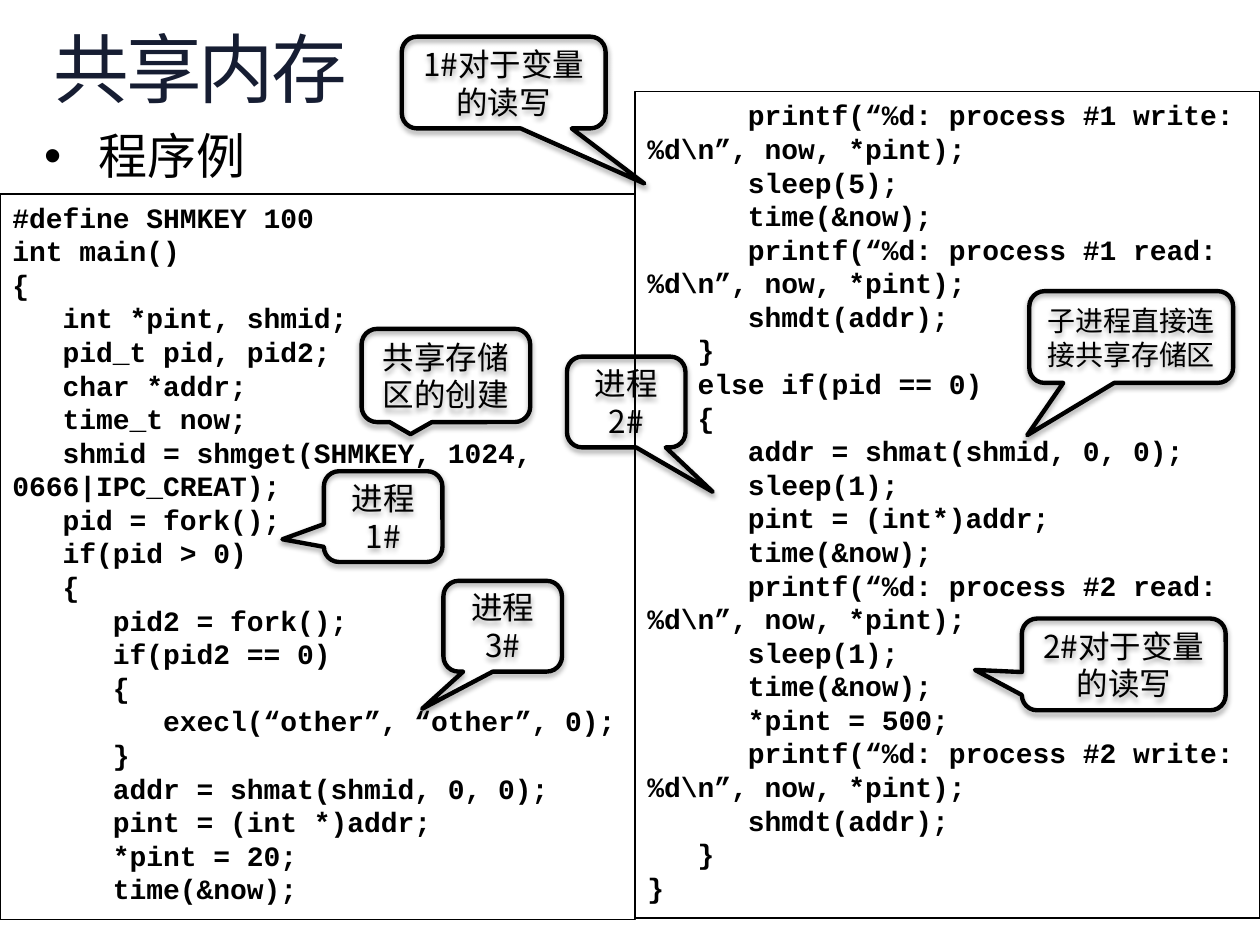
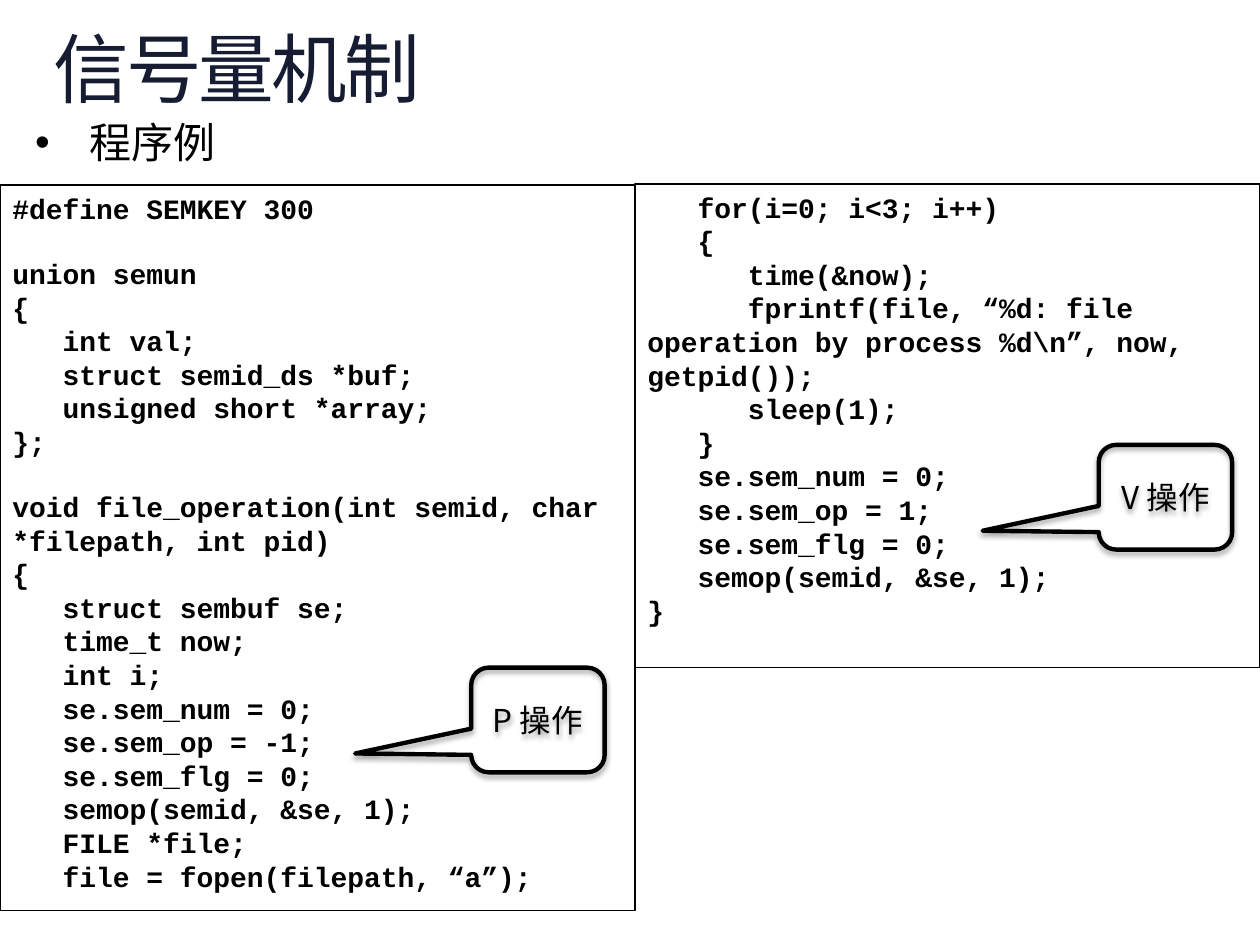
from pptx import Presentation
from pptx.dml.color import RGBColor
from pptx.enum.shapes import MSO_SHAPE as Preset
from pptx.enum.text import MSO_ANCHOR as Anchor, MSO_AUTO_SIZE as AutoSize, PP_ALIGN as Align
from pptx.oxml import parse_xml
from pptx.oxml.ns import nsdecls, qn
from pptx.util import Cm, Pt

BLACK = RGBColor(0, 0, 0)
NAVY = RGBColor(0x16, 0x1D, 0x32)
CJK_FONT = "Noto Sans CJK SC"
CODE_FONT = "Courier New"
CODE_SIZE = 16
CODE_LINE = Pt(18.12)  # height of one line of code
INDENT = Cm(1.09)

# Columns of code share one split of the slide: left edge and width in cm
LEFT_COLUMN, RIGHT_COLUMN = (0, 12.8), (12.8, 12.6)
# Callout sizes in cm
PROCESS, ACCESS, CREATION, OPERATION = (2.39, 1.83), (4.11, 1.85), (3.4, 1.88), (2.69, 2.11)

SHM_LEFT = """\
#define SHMKEY 100
int main()
{
   int *pint, shmid;
   pid_t pid, pid2;
   char *addr;
   time_t now;
   shmid = shmget(SHMKEY, 1024, 0666|IPC_CREAT);
   pid = fork();
   if(pid > 0)
   {
      pid2 = fork();
      if(pid2 == 0)
      {
         execl(“other”, “other”, 0);
      }
      addr = shmat(shmid, 0, 0);
      pint = (int *)addr;
      *pint = 20;
      time(&now);"""

SHM_RIGHT = r"""      printf(“%d: process #1 write: %d\n”, now, *pint);
      sleep(5);
      time(&now);
      printf(“%d: process #1 read: %d\n”, now, *pint);
      shmdt(addr);
   }
   else if(pid == 0)
   {
      addr = shmat(shmid, 0, 0);
      sleep(1);
      pint = (int*)addr;
      time(&now);
      printf(“%d: process #2 read: %d\n”, now, *pint);
      sleep(1);
      time(&now);
      *pint = 500;
      printf(“%d: process #2 write: %d\n”, now, *pint);
      shmdt(addr);
   }
}"""

SEM_LEFT = """\
#define SEMKEY 300

union semun
{
   int val;
   struct semid_ds *buf;
   unsigned short *array;
};

void file_operation(int semid, char *filepath, int pid)
{
   struct sembuf se;
   time_t now;
   int i;
   se.sem_num = 0;
   se.sem_op = -1;
   se.sem_flg = 0;
   semop(semid, &se, 1);
   FILE *file;
   file = fopen(filepath, “a”);"""

SEM_RIGHT = r"""   for(i=0; i<3; i++)
   {
      time(&now);
      fprintf(file, “%d: file operation by process %d\n”, now, getpid());
      sleep(1);
   }
   se.sem_num = 0;
   se.sem_op = 1;
   se.sem_flg = 0;
   semop(semid, &se, 1);
}"""

# code: (text, column, top, height)
# callouts: (text, font size, (left, top), size, tip offset from the centre as a share of the size)
SLIDES = [
    {
        "title": "共享内存",
        "topic": ("程序例", 28, (0.89, 2.67), 1.07),
        "code": [(SHM_LEFT, LEFT_COLUMN, 3.91, 14.63), (SHM_RIGHT, RIGHT_COLUMN, 1.85, 16.66)],
        "callouts": [
            ("共享存储区的创建", 18, (7.29, 6.63), CREATION, (-0.21, 0.63)),
            ("进程1#", 18, (6.53, 9.5), PROCESS, (-0.85, 0.25)),
            ("进程3#", 18, (8.94, 11.71), PROCESS, (-0.68, 0.91)),
            ("进程2#", 18, (11.43, 7.19), PROCESS, (0.73, 0.99)),
            ("1#对于变量的读写", 18, (8.1, 0.74), ACCESS, (0.69, 1.1)),
            ("2#对于变量的读写", 18, (20.6, 12.47), ACCESS, (-0.73, 0.06)),
            ("子进程直接连接共享存储区", 16, (20.75, 5.87), ACCESS, (-0.51, 1.07)),
        ],
    },
    {
        "title": "信号量机制",
        "topic": ("程序例", 24, (0.71, 2.46), 0.91),
        "code": [(SEM_LEFT, LEFT_COLUMN, 3.73, 14.63), (SEM_RIGHT, RIGHT_COLUMN, 3.71, 9.75)],
        "callouts": [
            ("P 操作", 18, (9.5, 13.46), OPERATION, (-1.37, 0.32)),
            ("V 操作", 18, (22.15, 8.97), OPERATION, (-1.37, 0.32)),
        ],
    },
]


def add_run(paragraph, text, size, font_name=CJK_FONT, color=BLACK, bold=False):
    run = paragraph.add_run()
    run.text = text
    font = run.font
    font.size, font.name, font.bold = Pt(size), font_name, bold
    font.color.rgb = color
    if font_name == CJK_FONT:
        east_asian = parse_xml(f'<a:ea {nsdecls("a")} typeface="{CJK_FONT}"/>')
        run._r.rPr.find(qn("a:latin")).addnext(east_asian)
    return run


def fill_placeholder(placeholder, text, size, box, color=BLACK):
    placeholder.left, placeholder.top, placeholder.width, placeholder.height = map(Cm, box)
    frame = placeholder.text_frame
    frame.margin_left = frame.margin_top = frame.margin_right = frame.margin_bottom = 0
    frame.vertical_anchor, frame.auto_size = Anchor.TOP, AutoSize.NONE
    frame.word_wrap = True
    paragraph = frame.paragraphs[0]
    paragraph.alignment, paragraph.line_spacing = Align.LEFT, 0.9
    paragraph.space_before = Pt(0)
    return paragraph, add_run(paragraph, text, size, color=color)


def add_title(slide, text):
    _, run = fill_placeholder(slide.shapes.title, text, 43.2, (1.07, 0.64, 23.29, 2.08), NAVY)
    run._r.rPr.set("spc", "-150")


def add_topic(slide, text, size, corner, height):
    paragraph, _ = fill_placeholder(slide.placeholders[1], text, size, (*corner, 24.21, height))
    properties = paragraph._p.get_or_add_pPr()
    properties.set("marL", str(INDENT))
    properties.set("indent", str(-INDENT))


def add_code(slide, code, column, top, height):
    """Draw a framed listing; an empty source line becomes space before the next one."""
    left, width = column
    listing = slide.shapes.add_textbox(Cm(left), Cm(top), Cm(width), Cm(height))
    listing.line.color.rgb, listing.line.width = BLACK, Pt(0.75)
    frame = listing.text_frame
    frame.word_wrap = True
    paragraph, gap = frame.paragraphs[0], 0
    for number, line in enumerate(code.split("\n")):
        if not line:
            gap += CODE_LINE
            continue
        if number:
            paragraph = frame.add_paragraph()
        if gap:
            paragraph.space_before, gap = gap, 0
        add_run(paragraph, line, CODE_SIZE, CODE_FONT, bold=True)


def add_callout(slide, text, size, corner, extent, tip):
    callout = slide.shapes.add_shape(Preset.ROUNDED_RECTANGULAR_CALLOUT, *map(Cm, corner + extent))
    callout.adjustments[0], callout.adjustments[1] = tip
    callout.fill.background()
    callout.line.color.rgb, callout.line.width = BLACK, Pt(2.5)
    callout._element.spPr.append(parse_xml(
        f'<a:effectLst {nsdecls("a")}><a:outerShdw blurRad="40000" dist="23000" dir="5400000"'
        ' rotWithShape="0"><a:srgbClr val="000000"><a:alpha val="35000"/></a:srgbClr>'
        '</a:outerShdw></a:effectLst>'))
    frame = callout.text_frame
    frame.word_wrap, frame.vertical_anchor = True, Anchor.MIDDLE
    paragraph = frame.paragraphs[0]
    paragraph.alignment = Align.CENTER
    add_run(paragraph, text, size)


def main():
    deck = Presentation()
    deck.slide_width, deck.slide_height = Cm(25.4), Cm(19.05)
    for content in SLIDES:
        slide = deck.slides.add_slide(deck.slide_layouts[1])
        add_title(slide, content["title"])
        add_topic(slide, *content["topic"])
        for listing in content["code"]:
            add_code(slide, *listing)
        for callout in content["callouts"]:
            add_callout(slide, *callout)
    deck.save("out.pptx")


if __name__ == "__main__":
    main()
